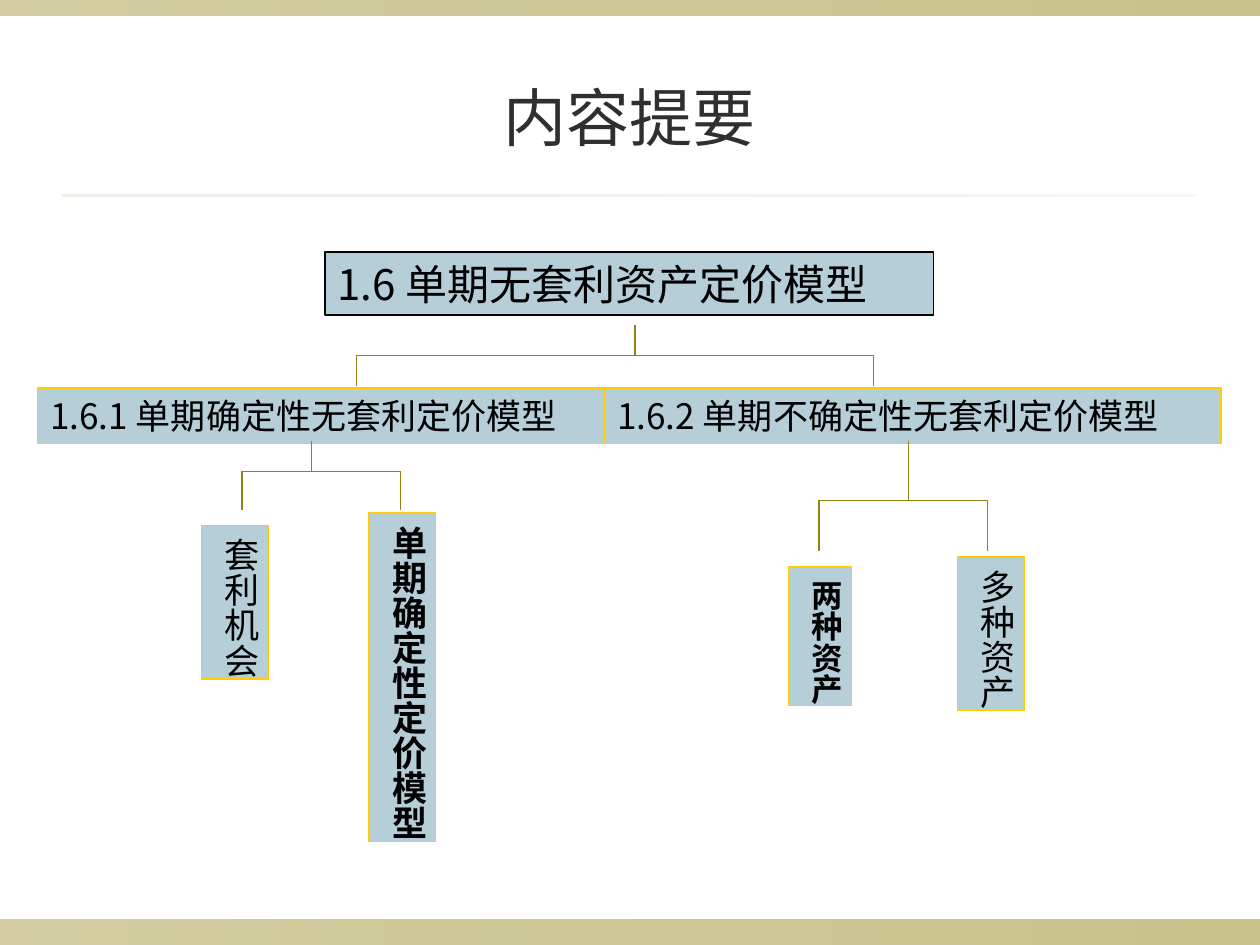
import pptx
import pptx.util
import pptx.dml.color
import pptx.enum.shapes
import pptx.enum.text
import pptx.oxml
import pptx.oxml.ns

Inches, Pt = pptx.util.Inches, pptx.util.Pt
COLORS = {
    "olive": "918415",
    "rule": "DCD9CC",
    "title": "2F2F2F",
    "box": "B6CED7",
    "gold": "FFCC00",
    "black": "000000",
}
CJK, LATIN = "Noto Sans CJK SC", "Arial"


def rgb(name):
    return pptx.dml.color.RGBColor.from_string(COLORS[name])


def add_rect(slide, left, top, width, height):
    rect = slide.shapes.add_shape(
        pptx.enum.shapes.MSO_SHAPE.RECTANGLE,
        Inches(left), Inches(top), Inches(width), Inches(height))
    rect.shadow.inherit = False
    return rect


def add_band(slide, box, color, opacities):
    """Strip of one colour whose opacity changes from left to right."""
    band = add_rect(slide, *box)
    band.line.fill.background()
    band.fill.gradient()
    band.fill.gradient_angle = 0
    for stop, position, opacity in zip(band.fill.gradient_stops, (0, 1), opacities):
        stop.position = position
        stop.color.rgb = rgb(color)
    stop_colors = band._element.spPr.iter(pptx.oxml.ns.qn("a:srgbClr"))
    for stop_color, opacity in zip(list(stop_colors), opacities):
        alpha = pptx.oxml.parse_xml(
            f'<a:alpha {pptx.oxml.ns.nsdecls("a")} val="{opacity * 1000}"/>')
        stop_color.append(alpha)


def add_frame(slide):
    add_band(slide, (0, 7.3, 10, 0.2), "olive", (40, 50))
    add_band(slide, (0, 0, 10, 0.12), "olive", (40, 50))
    add_band(slide, (0.5, 1.54, 9, 0.02), "rule", (50, 20))


def add_title(slide, left, top, width, height, text):
    title = slide.shapes.add_textbox(
        Inches(left), Inches(top), Inches(width), Inches(height)).text_frame
    title.word_wrap = True
    title.vertical_anchor = pptx.enum.text.MSO_ANCHOR.MIDDLE
    heading = title.paragraphs[0]
    heading.text = text
    heading.alignment = pptx.enum.text.PP_ALIGN.CENTER
    heading.font.size = Pt(36)
    heading.font.name = "Lato"
    heading.font.color.rgb = rgb("title")


def add_topic(slide, box, text, size, border="gold", vertical=False, bold=None):
    topic = add_rect(slide, *box)
    topic.fill.solid()
    topic.fill.fore_color.rgb = rgb("box")
    topic.line.color.rgb = rgb(border)
    topic.line.width = Pt(0.75)

    frame = topic.text_frame
    frame.vertical_anchor = pptx.enum.text.MSO_ANCHOR.TOP
    side, end = (0.05, 0.1) if vertical else (0.1, 0.05)
    frame.margin_left = frame.margin_right = Inches(side)
    frame.margin_top = frame.margin_bottom = Inches(end)
    frame.word_wrap = not vertical
    if vertical:
        frame.auto_size = pptx.enum.text.MSO_AUTO_SIZE.SHAPE_TO_FIT_TEXT
        frame._txBody.bodyPr.set("vert", "eaVert")

    label = frame.paragraphs[0]
    label.text = text
    label.alignment = pptx.enum.text.PP_ALIGN.LEFT
    label.font.size = Pt(size)
    label.font.name = LATIN if vertical else CJK
    label.font.bold = bold
    label.font.color.rgb = rgb("black")


def add_line(slide, x1, y1, x2, y2):
    line = slide.shapes.add_connector(
        pptx.enum.shapes.MSO_CONNECTOR.STRAIGHT,
        Inches(x1), Inches(y1), Inches(x2), Inches(y2))
    line.line.color.rgb = rgb("olive")
    line.line.width = Pt(0.75)
    line._element.spPr.append(pptx.oxml.parse_xml(
        f'<a:effectLst {pptx.oxml.ns.nsdecls("a")}/>'))


def add_fork(slide, stem, top, bar, bottom, branches):
    """Stem from top to bar, then one branch down to bottom at each x."""
    add_line(slide, stem, top, stem, bar)
    add_line(slide, branches[0], bar, branches[-1], bar)
    for branch in branches:
        add_line(slide, branch, bar, branch, bottom)


def add_outline(slide):
    add_topic(slide, (2.58, 2, 4.83, 0.5), "1.6 单期无套利资产定价模型", 24, "black")
    sections = [
        (0.3, 4.61, "1.6.1 单期确定性无套利定价模型"),
        (4.8, 4.89, "1.6.2 单期不确定性无套利定价模型"),
    ]
    for left, width, text in sections:
        add_topic(slide, (left, 3.08, width, 0.44), text, 20)

    leaves = [
        ((1.6, 4.17, 0.53, 1.22), "套利机会", 20, None),
        ((2.93, 4.07, 0.53, 2.61), "单期确定性定价模型", 20, True),
        ((6.26, 4.5, 0.5, 1.1), "两种资产", 18, True),
        ((7.6, 4.42, 0.53, 1.22), "多种资产", 20, None),
    ]
    for box, text, size, bold in leaves:
        add_topic(slide, box, text, size, vertical=True, bold=bold)

    add_fork(slide, 5.04, 2.58, 2.82, 3.06, (2.83, 6.93))
    add_fork(slide, 2.47, 3.5, 3.74, 4.05, (1.92, 3.18))
    add_fork(slide, 7.21, 3.5, 3.97, 4.37, (6.5, 7.84))


def main():
    deck = pptx.Presentation()
    deck.slide_width, deck.slide_height = Inches(10), Inches(7.5)
    slide = deck.slides.add_slide(deck.slide_layouts[6])
    add_frame(slide)
    add_title(slide, 0.5, 0.3, 9, 1.25, "内容提要")
    add_outline(slide)
    deck.save("out.pptx")


if __name__ == "__main__":
    main()
